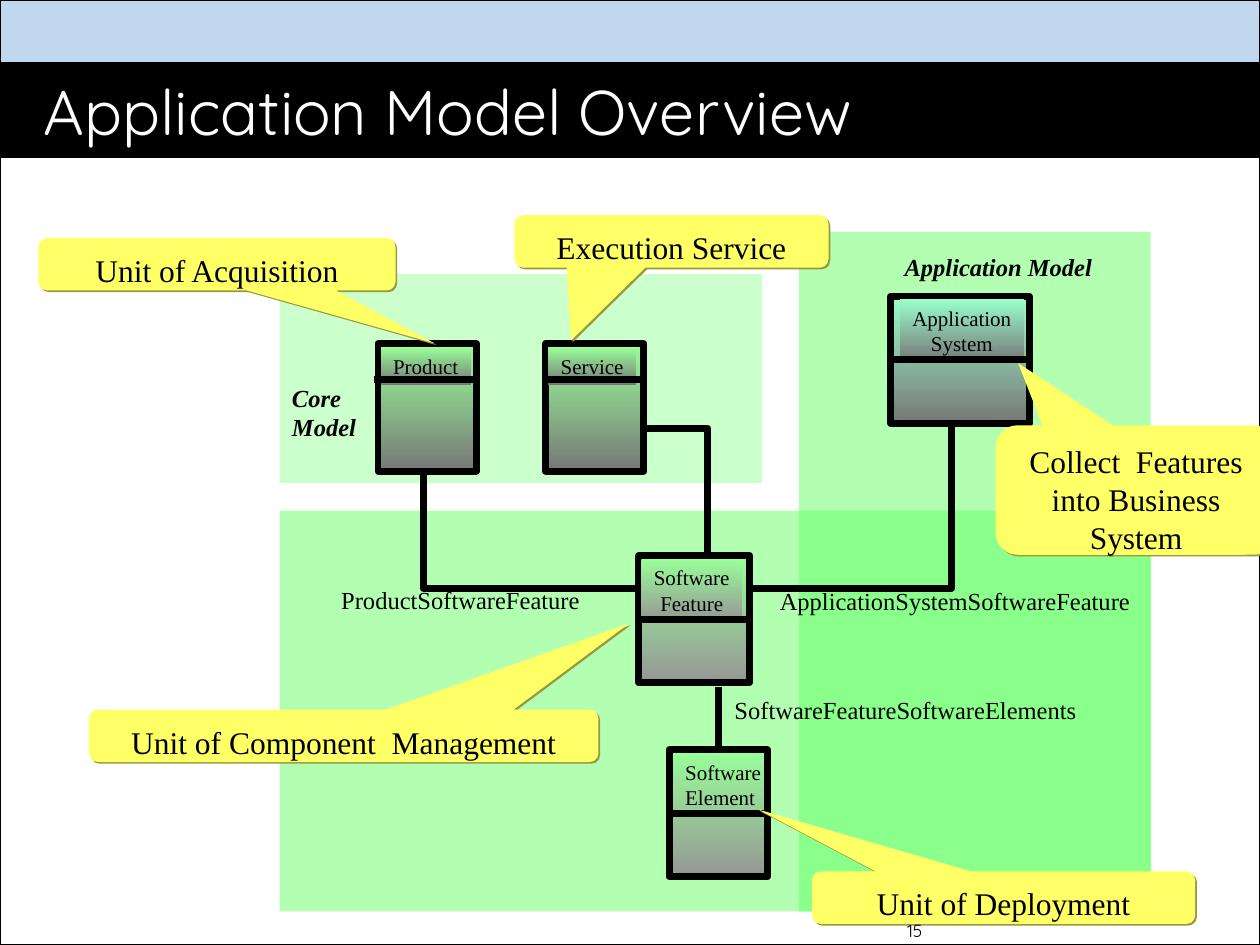
from lxml.etree import SubElement
from pptx import Presentation
from pptx.dml.color import RGBColor
from pptx.enum.shapes import MSO_CONNECTOR, MSO_SHAPE
from pptx.enum.text import MSO_ANCHOR, PP_ALIGN
from pptx.oxml.ns import qn
from pptx.util import Pt


def color(hex_code):
    return RGBColor.from_string(hex_code)


class ModelSlide:
    serif, sans = "Times New Roman", "Quicksand"
    ink, note_fill, note_shadow = "000000", "FFFF66", "98983C"
    stroke = 4
    box_height = 72.7

    def __init__(self, slide):
        self.slide = slide
        self.shapes = slide.shapes

    def add_lines(self, shape, lines, size, font=serif, align=PP_ALIGN.LEFT, ink=ink,
                  strong=False, wrap=False, anchor=MSO_ANCHOR.TOP, top=3.6):
        frame = shape.text_frame
        frame.word_wrap = wrap
        frame.vertical_anchor = anchor
        frame.margin_left = frame.margin_right = Pt(7.2)
        frame.margin_top, frame.margin_bottom = Pt(top), Pt(3.6)
        for i, line in enumerate(lines):
            paragraph = frame.paragraphs[0] if i == 0 else frame.add_paragraph()
            paragraph.alignment = align
            run = paragraph.add_run()
            run.text = line
            run.font.name, run.font.size = font, Pt(size)
            run.font.bold = run.font.italic = strong
            run.font.color.rgb = color(ink)

    def text(self, x, y, w, h, line, size, **style):
        self.add_lines(self.shapes.add_textbox(Pt(x), Pt(y), Pt(w), Pt(h)),
                       [line], size, **style)

    def rect(self, x, y, w, h, fill=None, line_width=None, alpha=None):
        """fill is one hex string, or a (top, bottom) pair for a gradient."""
        shape = self.shapes.add_shape(MSO_SHAPE.RECTANGLE, Pt(x), Pt(y), Pt(w), Pt(h))
        shape.shadow.inherit = False
        if fill is None:
            shape.fill.background()
        elif isinstance(fill, tuple):
            shape.fill.gradient()
            shape.fill.gradient_angle = 270
            for stop, shade in zip(shape.fill.gradient_stops, fill):
                stop.color.rgb = color(shade)
        else:
            shape.fill.solid()
            shape.fill.fore_color.rgb = color(fill)
        if alpha:
            tint = shape._element.spPr.find(qn("a:solidFill")).find(qn("a:srgbClr"))
            SubElement(tint, qn("a:alpha")).set("val", str(alpha * 1000))
        if line_width:
            self.pen(shape, line_width)
        else:
            shape.line.fill.background()
        return shape

    def pen(self, shape, width=stroke):
        shape.line.color.rgb = color(self.ink)
        shape.line.width = Pt(width)

    def line(self, x1, y1, x2, y2):
        connector = self.shapes.add_connector(
            MSO_CONNECTOR.STRAIGHT, Pt(x1), Pt(y1), Pt(x2), Pt(y2))
        self.pen(connector)
        SubElement(connector._element.spPr, qn("a:effectLst"))
        return connector

    def elbow(self, start, corner, end):
        builder = self.shapes.build_freeform(Pt(start[0]), Pt(start[1]))
        builder.add_line_segments([(Pt(x), Pt(y)) for x, y in (corner, end)], close=False)
        bend = builder.convert_to_shape()
        bend.shadow.inherit = False
        bend.fill.background()
        self.pen(bend)

    def entity(self, x, y, w, shades, names, label, align=PP_ALIGN.LEFT,
               label_filled=True, divider=None):
        """A box with a name above a divider; the divider is halfway by default."""
        box = self.rect(x, y, w, self.box_height, shades, self.stroke)
        label_x, label_w, label_h = label
        plate = self.rect(label_x, y + 1.8, label_w, label_h,
                          shades if label_filled else None)
        self.add_lines(plate, names, 12, align=align)
        split = y + (divider or self.box_height / 2)
        rule = self.line(x - 2, split, x + w, split)
        if divider is None:
            rule.begin_connect(box, 1)
            rule.end_connect(box, 3)
        return box

    def callout(self, x, y, w, h, tip_x, tip_y, line):
        note = self.shapes.add_shape(
            MSO_SHAPE.ROUNDED_RECTANGULAR_CALLOUT, Pt(x), Pt(y), Pt(w), Pt(h))
        for i, value in enumerate((tip_x, tip_y, 0.167)):
            note.adjustments[i] = value
        note.fill.solid()
        note.fill.fore_color.rgb = color(self.note_fill)
        note.line.fill.background()
        note.shadow.inherit = False
        effects = note._element.spPr.find(qn("a:effectLst"))
        shadow = SubElement(effects, qn("a:outerShdw"), blurRad="0", dist=str(Pt(1.4)),
                            dir="2700000", algn="ctr", rotWithShape="0")
        SubElement(shadow, qn("a:srgbClr"), val=self.note_shadow)
        self.add_lines(note, [line], 18, align=PP_ALIGN.CENTER, wrap=True, top=6)


def main():
    deck = Presentation()
    deck.slide_width, deck.slide_height = Pt(720), Pt(540)
    model = ModelSlide(deck.slides.add_slide(deck.slide_layouts[6]))

    # Page frame and title
    model.rect(0, 0, 720, 36, "C0D8EE")
    model.rect(0, 0, 720, 540, line_width=0.75)
    model.rect(0, 36, 720, 54, "000000", 0.75)
    model.text(18, 36, 684, 54, "Application Model Overview", 36, font=model.sans,
               ink="FFFFFF", wrap=True, anchor=MSO_ANCHOR.MIDDLE)

    # Model areas
    for x, y, w, h, tint in [(456.5, 132.5, 201, 388.5, "66FF66"),
                             (159.8, 291.8, 498, 229, "66FF66"),
                             (159.8, 156.5, 275.8, 119.5, "99FF99")]:
        model.rect(x, y, w, h, tint, alpha=50)

    # Service link, software feature and application system
    green_soft, green_dark = ("99FF99", "969696"), ("99FF99", "777777")
    model.elbow((404.6, 337), (404.6, 244.8), (327.6, 244.8))
    model.entity(365, 317.5, 63.4, green_soft, ["Software", "Feature"],
                 (366.5, 57.6, 36), PP_ALIGN.CENTER)
    model.entity(509, 169.2, 79.2, ("99FFCC", "777777"), ["Application", "System"],
                 (514, 71.3, 36), PP_ALIGN.CENTER)

    # Area names
    model.text(159.8, 215.3, 59.8, 41, "Core Model", 14, strong=True, wrap=True)
    model.text(509.8, 140.4, 121.7, 23.8, "Application Model", 14, strong=True)

    # Links to the software feature
    model.elbow((241.9, 244), (241.9, 336.2), (362.9, 336.2))
    model.elbow((543.6, 244), (543.6, 336.2), (428.4, 336.2))
    for x, y, w, relation in [(187.9, 330.5, 151.2, "ProductSoftwareFeature"),
                              (438.5, 331.2, 215.3, "ApplicationSystemSoftwareFeature"),
                              (412.6, 393.8, 210.2, "SoftwareFeatureSoftwareElements")]:
        model.text(x, y, w, 23.8, relation, 14)

    # Software element, product and service
    element = model.entity(382.3, 428.4, 56.2, green_soft, ["Software", "Element"],
                           (384.5, 57.6, 36), label_filled=False)
    feature_link = model.line(410.4, 392.4, 410.4, 428.4)
    feature_link.end_connect(element, 0)
    for x, name, label_w in [(216, "Product", 51.8), (311.8, "Service", 50.4)]:
        model.entity(x, 196.5, 56.2, green_dark, [name], (x + 1.5, label_w, 21.6),
                     divider=20.2)

    # Callouts
    for x, y, w, h, tip_x, tip_y, remark in [
            (51, 405.5, 291, 30, 0.56, -2.14, "Unit of Component  Management"),
            (22, 136, 204, 30, 0.61, 1.51, "Unit of Acquisition"),
            (464, 498, 219, 30, -0.64, -1.68, "Unit of Deployment"),
            (294, 123, 179.5, 30, -0.32, 1.89, "Execution Service"),
            (569, 243, 160.5, 74, -0.42, -0.98, "Collect  Features into Business System")]:
        model.callout(x, y, w, h, tip_x, tip_y, remark)

    # Page number
    model.text(450, 522, 84.2, 18, "15", 10, font=model.sans,
               align=PP_ALIGN.RIGHT, wrap=True)

    deck.save("out.pptx")


if __name__ == "__main__":
    main()
